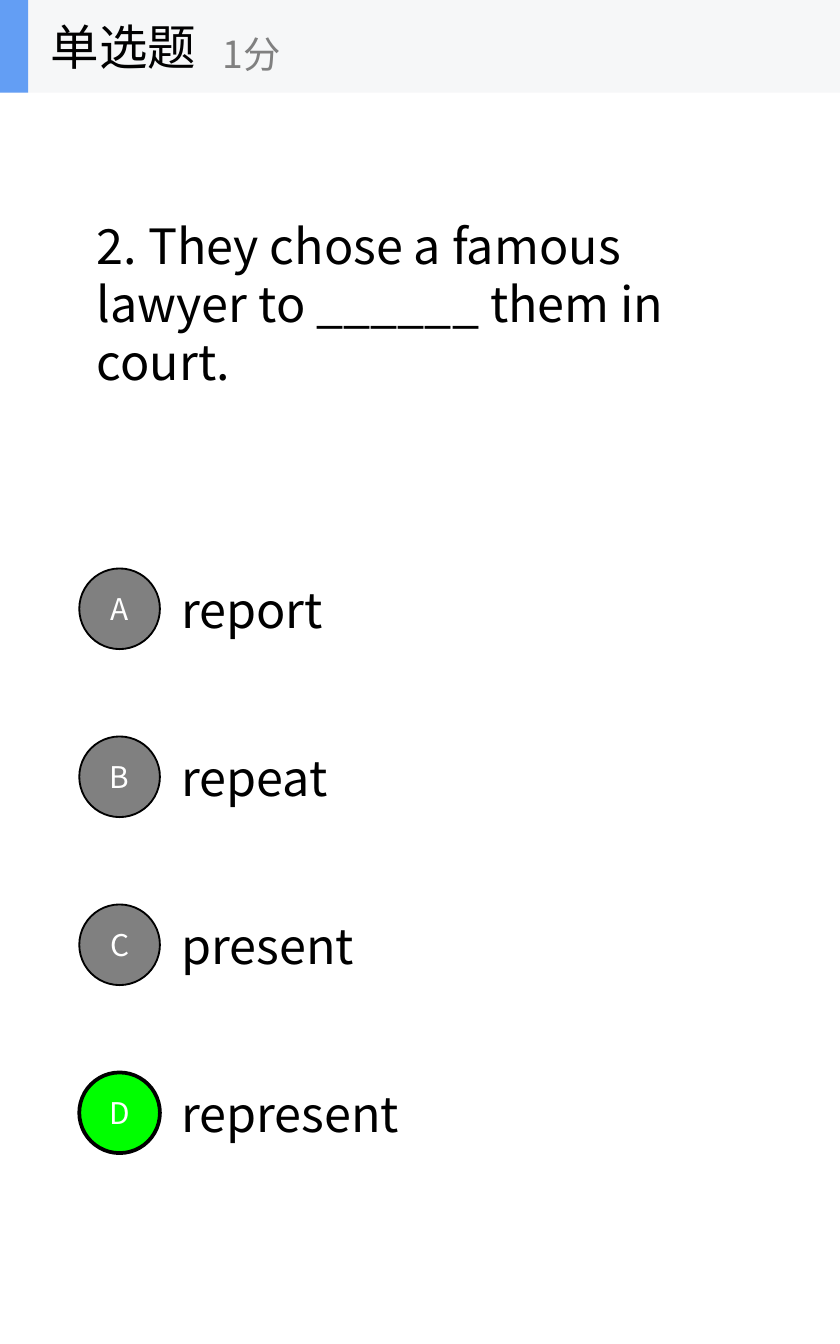
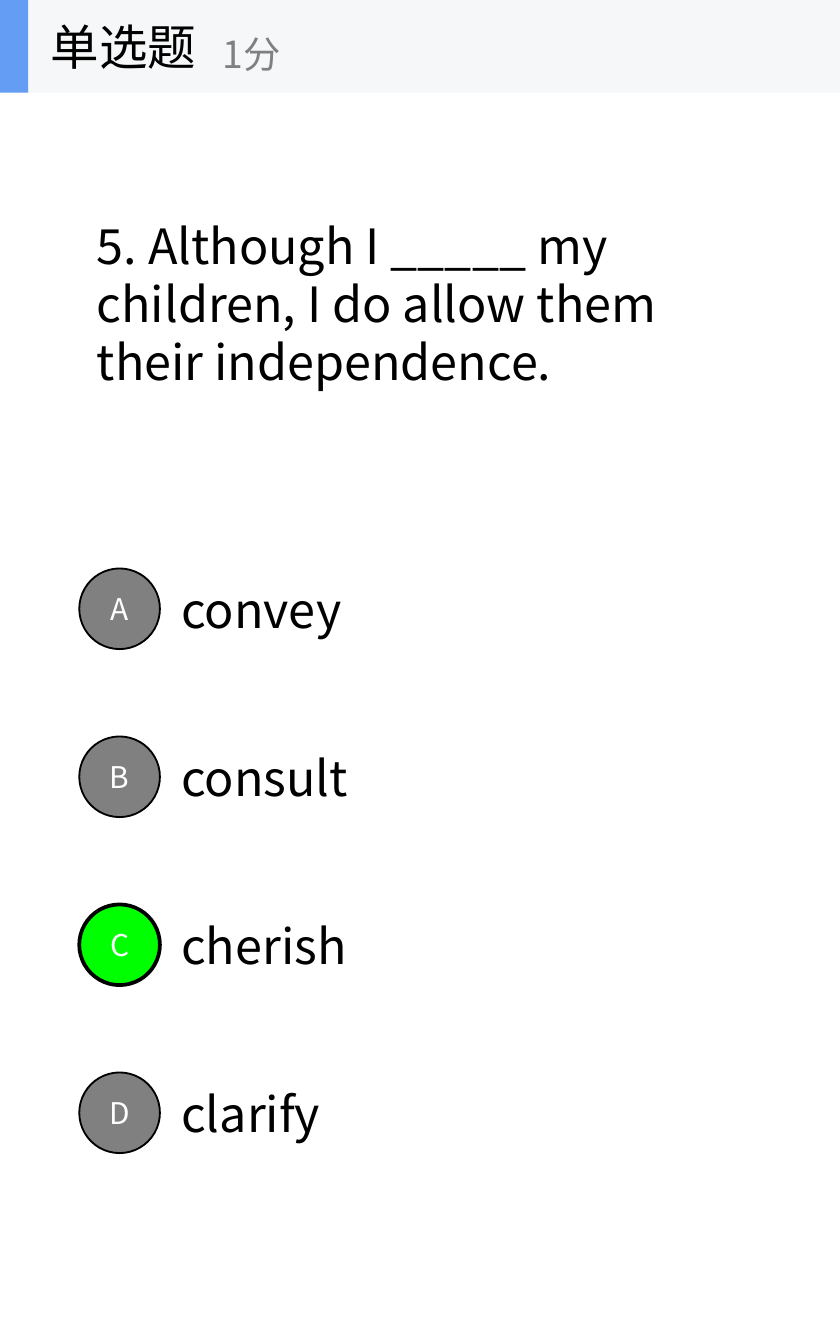
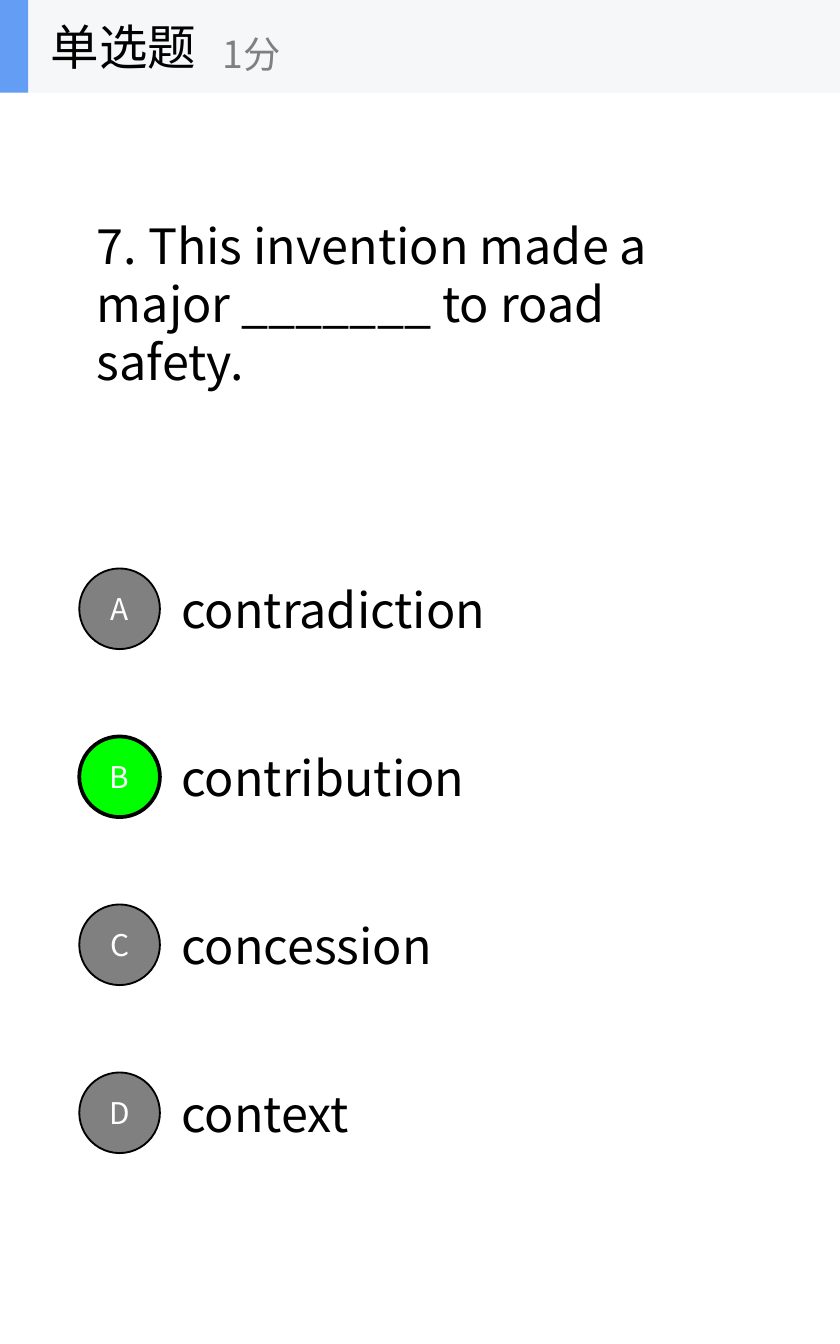
from pptx import Presentation
from pptx.dml.color import RGBColor
from pptx.enum.shapes import MSO_SHAPE
from pptx.enum.text import MSO_ANCHOR, MSO_AUTO_SIZE, PP_ALIGN
from pptx.util import Inches, Pt
from lxml.etree import SubElement
from pptx.oxml.ns import qn

FONT = "Noto Sans CJK SC"
COLORS = {
    "text": "000000",
    "muted": "808080",
    "letter": "FFFFFF",
    "correct": "00FF00",
    "band": "F6F7F8",
    "accent": "639EF4",
}

# Each question: text, box width, correct letter, options with box widths
QUESTIONS = [
    ("2. They chose a famous lawyer to ______ them in court.", 4.83, "D",
     [("report", 2.24), ("repeat", 3.23), ("present", 2.34), ("represent", 2.38)]),
    ("5. Although I _____ my children, I do allow them their independence.", 4.99, "C",
     [("convey", 4.45), ("consult", 4.04), ("cherish", 1.76), ("clarify", 2.97)]),
    ("7. This invention made a major _______ to road safety.", 4.99, "B",
     [("contradiction", 3.31), ("contribution", 3.31), ("concession", 3.83), ("context", 2.27)]),
]
OPTION_TOP, OPTION_STEP = 4.23, 1.25


def set_text(sp, text, size, color, align=PP_ALIGN.LEFT, wrap=True, grow=False):
    tf = sp.text_frame
    tf.text = text
    tf.word_wrap = wrap
    tf.auto_size = MSO_AUTO_SIZE.SHAPE_TO_FIT_TEXT if grow else MSO_AUTO_SIZE.NONE
    tf.vertical_anchor = MSO_ANCHOR.MIDDLE
    p = tf.paragraphs[0]
    p.alignment = align
    p.font.size = Pt(size)
    p.font.color.rgb = RGBColor.from_string(COLORS[color])
    p.font.name = FONT
    # East Asian characters take their own typeface
    SubElement(p.font._element, qn("a:ea")).set("typeface", FONT)


def add_filled(shapes, kind, box, color):
    sp = shapes.add_shape(kind, *map(Inches, box))
    sp.shadow.inherit = False
    sp.fill.solid()
    sp.fill.fore_color.rgb = RGBColor.from_string(COLORS[color])
    sp.line.fill.background()
    return sp


prs = Presentation()
prs.slide_width, prs.slide_height = Inches(6.25), Inches(10)
title_only = prs.slide_layouts[5]

for question, width, answer, options in QUESTIONS:
    s = prs.slides.add_slide(title_only)

    # Question
    title = s.shapes.title
    title.left, title.top = Inches(0.62), Inches(1.55)
    title.width, title.height = Inches(width), Inches(1.41)
    set_text(title, question, 26, "text", grow=True)

    # Options, with the correct one highlighted
    for i, (letter, (option, option_width)) in enumerate(zip("ABCD", options)):
        top = OPTION_TOP + i * OPTION_STEP
        label = s.shapes.add_textbox(Inches(1.25), Inches(top + 0.03),
                                     Inches(option_width), Inches(0.54))
        set_text(label, option, 26, "text", grow=True)

        correct = letter == answer
        badge = add_filled(s.shapes, MSO_SHAPE.OVAL, (0.59, top, 0.6, 0.6),
                           "correct" if correct else "muted")
        badge.line.color.rgb = RGBColor.from_string(COLORS["text"])
        badge.line.width = Pt(2 if correct else 1)
        set_text(badge, letter, 16, "letter", PP_ALIGN.CENTER)

    # Header band with question type and score
    header = s.shapes.add_group_shape().shapes
    add_filled(header, MSO_SHAPE.RECTANGLE, (0, 0, 6.25, 0.69), "band")
    add_filled(header, MSO_SHAPE.RECTANGLE, (0, 0, 0.21, 0.69), "accent")
    for text, box, size, color in [
        ("单选题", (0.28, 0, 2.08, 0.69), 26, "text"),
        ("1分", (1.56, 0.12, 2.5, 0.56), 20, "muted"),
    ]:
        set_text(header.add_textbox(*map(Inches, box)), text, size, color, wrap=False)

prs.save("out.pptx")
